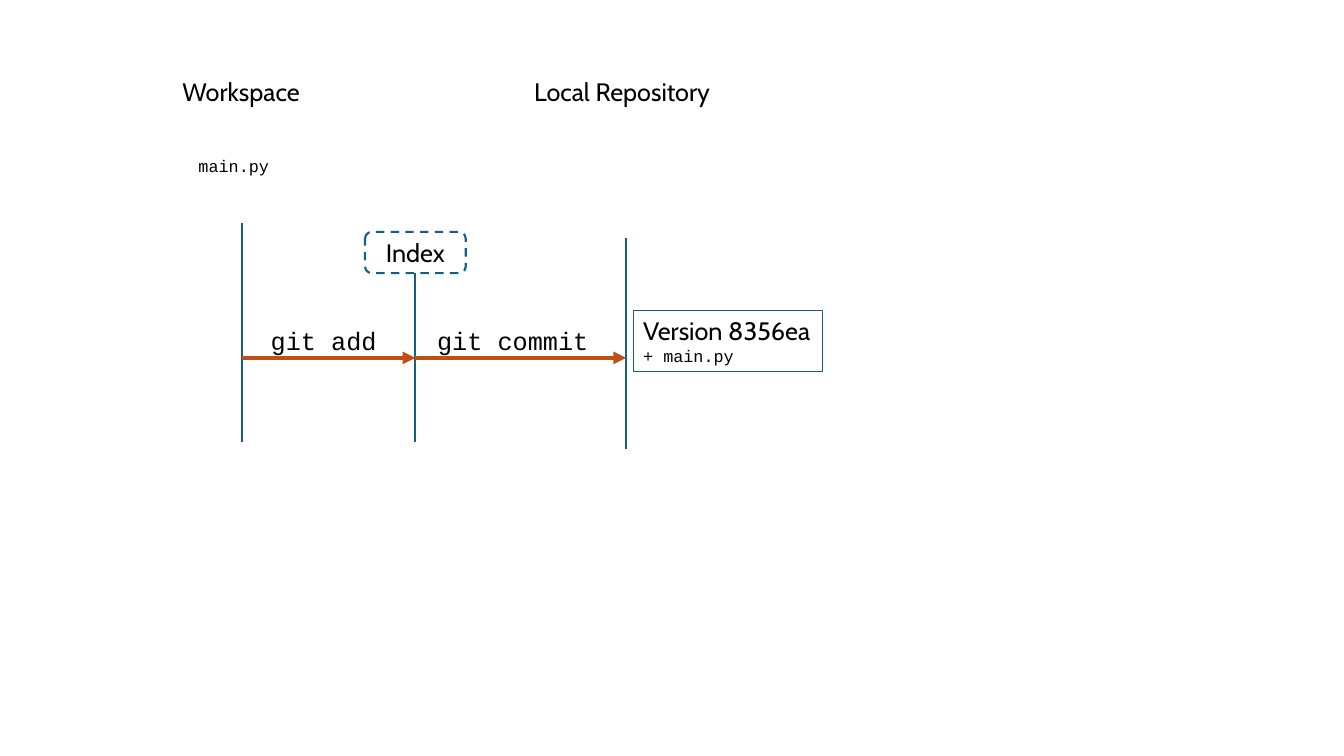
from lxml import etree
from pptx import Presentation
from pptx.dml.color import RGBColor
from pptx.enum.dml import MSO_LINE_DASH_STYLE as Dash
from pptx.enum.shapes import MSO_CONNECTOR as Connector, MSO_SHAPE as Shape
from pptx.enum.text import MSO_ANCHOR as Anchor, MSO_AUTO_SIZE as AutoSize, PP_ALIGN as Align
from pptx.oxml.ns import qn
from pptx.util import Inches, Pt

BLUE, ORANGE, BLACK, WHITE = "156082", "C04F15", "000000", "FFFFFF"
SANS, MONO = "Cabin", "Courier New"


def color(hex_code):
    return RGBColor.from_string(hex_code)


class Diagram:
    def __init__(self, page):
        self.page = page

    def add_lines(self, box, lines, align=Align.LEFT, anchor=Anchor.TOP, wrap=False, grow=True):
        """Fill a box with lines given as (text, font, size)."""
        frame = box.text_frame
        frame.word_wrap = wrap
        frame.auto_size = AutoSize.SHAPE_TO_FIT_TEXT if grow else AutoSize.NONE
        frame.vertical_anchor = anchor
        for index, (text, font, size) in enumerate(lines):
            para = frame.add_paragraph() if index else frame.paragraphs[0]
            para.alignment = align
            span = para.add_run()
            span.text = text
            span.font.name = font
            span.font.size = Pt(size)
            span.font.color.rgb = color(BLACK)

    def label(self, place, text, font=SANS, size=18, **layout):
        box = self.page.shapes.add_textbox(*map(Inches, place))
        self.add_lines(box, [(text, font, size)], **layout)

    def panel(self, kind, place, lines, width, fill=None, dash=None, **layout):
        box = self.page.shapes.add_shape(kind, *map(Inches, place))
        box.shadow.inherit = False
        if fill:
            box.fill.solid()
            box.fill.fore_color.rgb = color(fill)
        else:
            box.fill.background()
        box.line.color.rgb = color(BLUE)
        box.line.width = Pt(width)
        if dash:
            box.line.dash_style = dash
        self.add_lines(box, lines, **layout)

    def line(self, start, end, hex_code=BLUE, width=1.5):
        line = self.page.shapes.add_connector(Connector.STRAIGHT, *map(Inches, start + end))
        line.line.color.rgb = color(hex_code)
        line.line.width = Pt(width)
        etree.SubElement(line._element.spPr, qn("a:effectLst"))
        return line

    def arrow(self, start, end):
        arrow = self.line(start, end, ORANGE, 3)
        outline = arrow._element.spPr.find(qn("a:ln"))
        etree.SubElement(outline, qn("a:tailEnd"), type="triangle")


def main():
    deck = Presentation()
    deck.slide_width, deck.slide_height = Inches(13.33), Inches(7.5)
    diagram = Diagram(deck.slides.add_slide(deck.slide_layouts[6]))
    workspace, index, repository, step = 2.4, 4.12, 6.21, 3.55

    diagram.label((1.71, 0.71, 1.43, 0.4), "Workspace")
    diagram.label((5.2, 0.71, 2.02, 0.4), "Local Repository")
    diagram.panel(Shape.ROUNDED_RECTANGLE, (index - 0.5, 2.3, 1, 0.41), [("Index", SANS, 18)],
                  1.5, WHITE, Dash.DASH, align=Align.CENTER, anchor=Anchor.MIDDLE,
                  wrap=True, grow=False)

    for x, bottom, top in ((workspace, 4.39, 2.21), (index, 4.39, 2.71), (repository, 4.45, 2.36)):
        diagram.line((x, bottom), (x, top))

    commands = (
        (workspace, index, "git add", 2.58, 1.26, False),
        (index, repository, "git commit", 4.15, 1.87, True),
    )
    for start, end, command, left, width, wrap in commands:
        diagram.arrow((start, step), (end, step))
        diagram.label((left, 3.18, width, 0.4), command, MONO, align=Align.CENTER, wrap=wrap)

    diagram.panel(Shape.RECTANGLE, (6.28, 3.08, 1.88, 0.61),
                  [("Version 8356ea", SANS, 18), ("+ main.py", MONO, 12)], 0.75)
    diagram.label((1.87, 1.5, 0.91, 0.3), "main.py", MONO, 12)
    deck.save("out.pptx")


if __name__ == "__main__":
    main()
